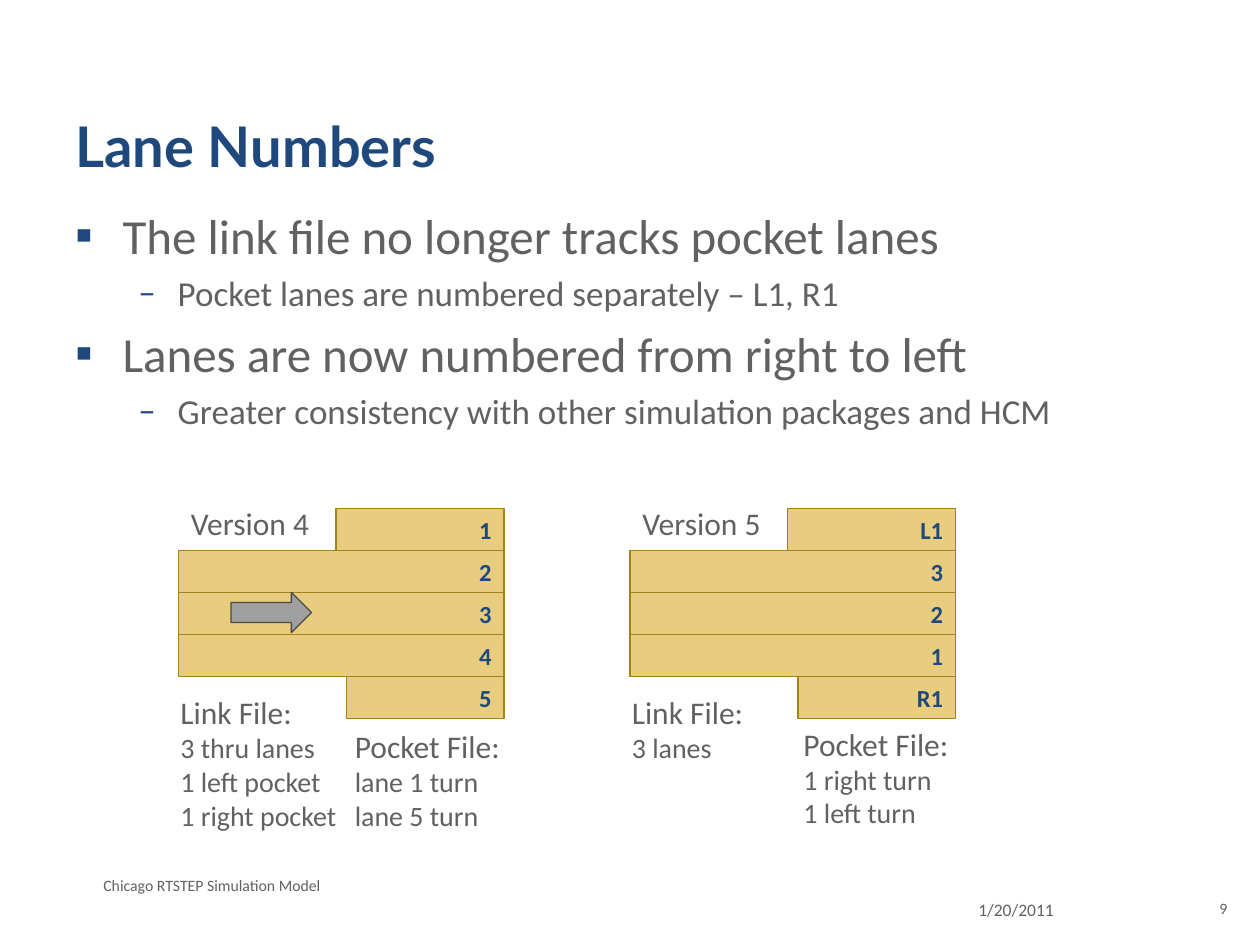
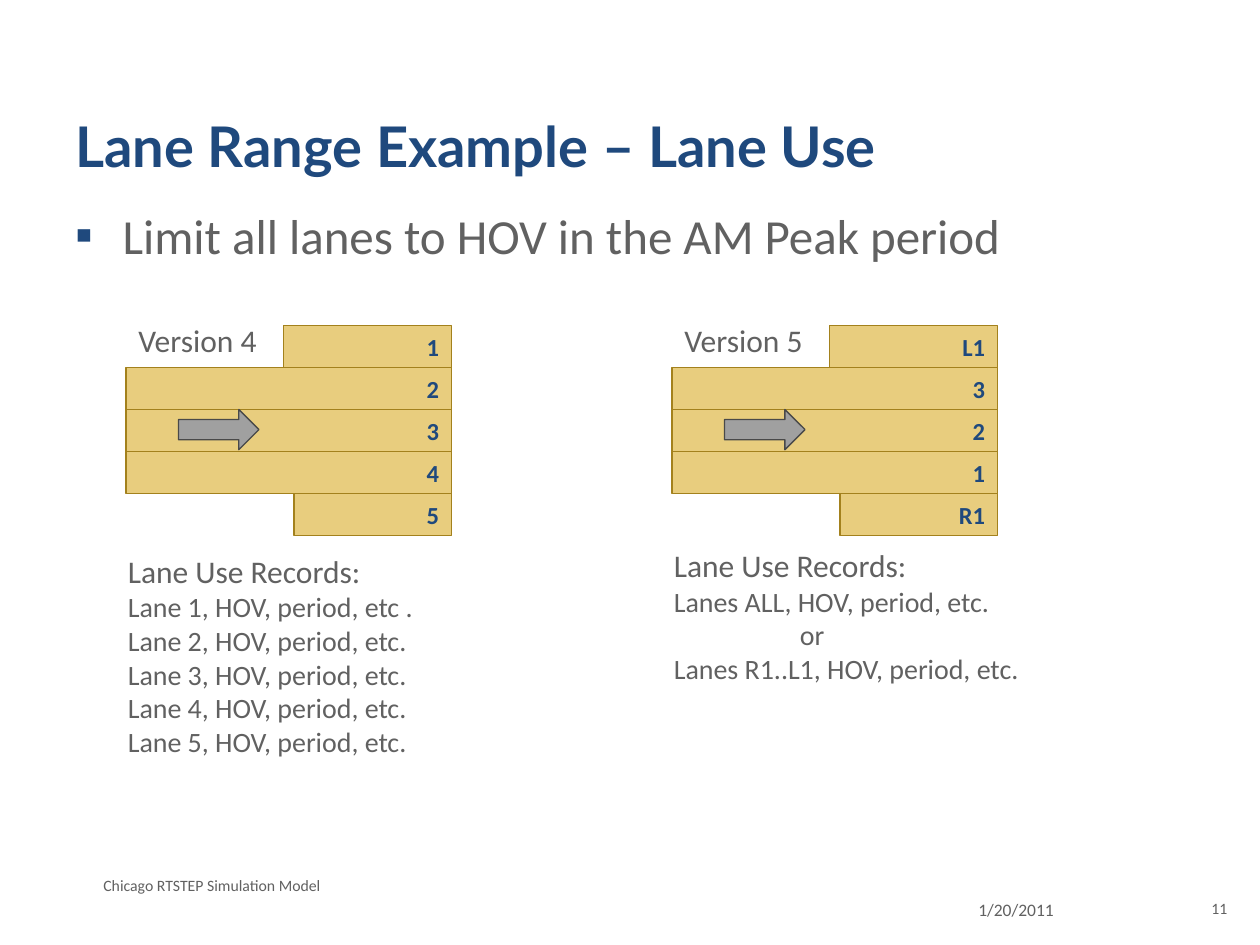
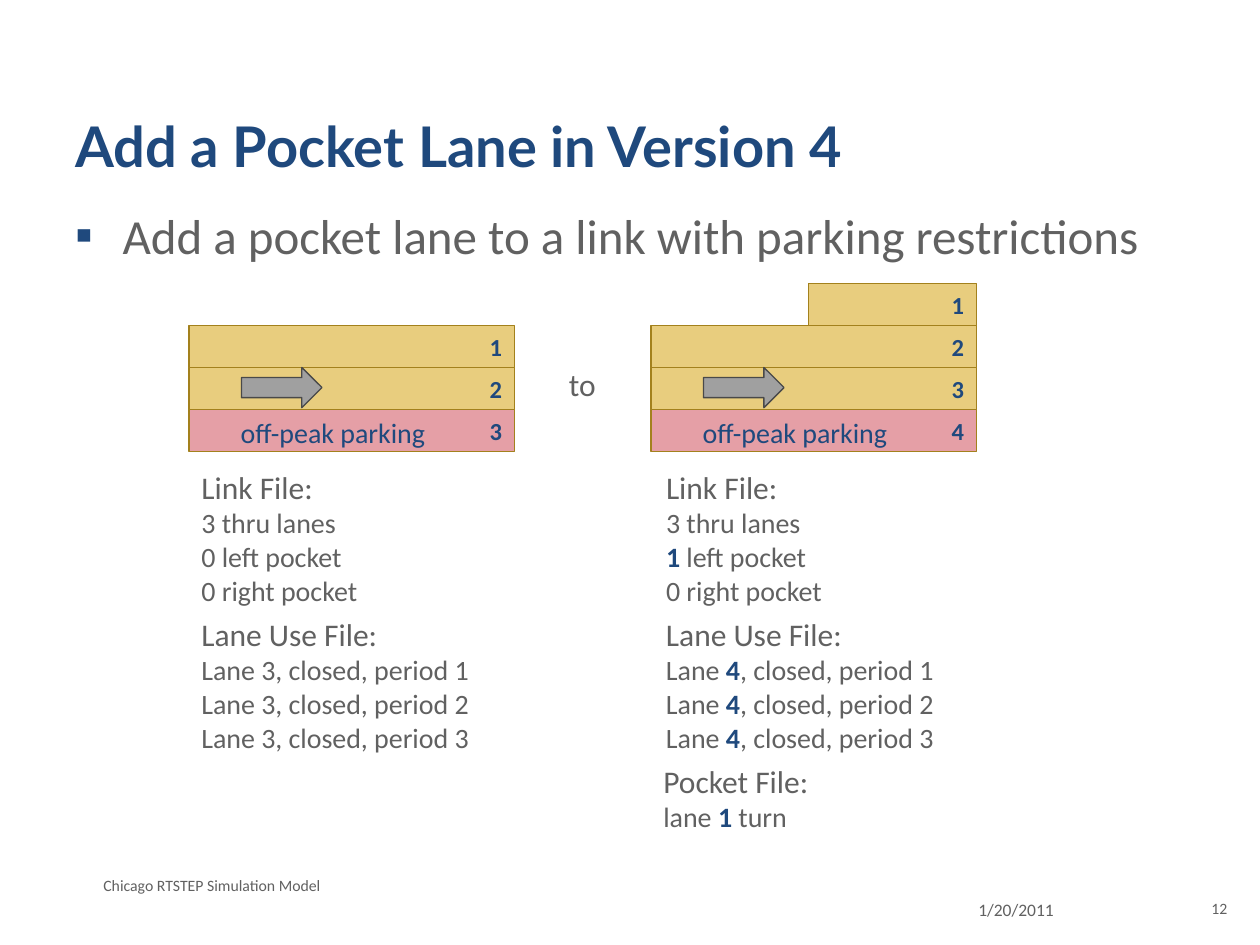
from lxml import etree
from pptx import Presentation
from pptx.dml.color import RGBColor
from pptx.enum.shapes import MSO_SHAPE
from pptx.enum.text import MSO_ANCHOR, PP_ALIGN
from pptx.oxml.ns import qn
from pptx.util import Pt

RECTANGLE = MSO_SHAPE.RECTANGLE
RIGHT_ARROW = MSO_SHAPE.RIGHT_ARROW
LEFT, RIGHT = PP_ALIGN.LEFT, PP_ALIGN.RIGHT
TOP, MIDDLE, BOTTOM = MSO_ANCHOR.TOP, MSO_ANCHOR.MIDDLE, MSO_ANCHOR.BOTTOM

NAVY = RGBColor(0x1F, 0x49, 0x7D)
GRAY = RGBColor(0x61, 0x61, 0x61)
SAND = RGBColor(0xE8, 0xCD, 0x7E)
SAND_EDGE = RGBColor(0xA3, 0x81, 0x1D)
PINK = RGBColor(0xE5, 0x9F, 0xA6)
ARROW_FILL = RGBColor(0xA0, 0xA0, 0xA0)
ARROW_EDGE = RGBColor(0x49, 0x49, 0x49)

TITLE_FONT, TEXT_FONT = "Lato", "Calibri"
LANE_WIDTH, LANE_HEIGHT = 186, 24
LEFT_POCKET, RIGHT_POCKET = 96, 90
BULLETS = [("▪", 28, 27, -27, 5.6), ("–", 20, 58.5, -22.5, 4)]


def add_span(para, text, size, color=GRAY, bold=False, font=TEXT_FONT):
    span = para.add_run()
    span.text = text
    span.font.size = Pt(size)
    span.font.name = font
    span.font.bold = bold
    span.font.color.rgb = color


def add_box(page, left, top, width, height, anchor=TOP):
    box = page.shapes.add_textbox(Pt(left), Pt(top), Pt(width), Pt(height))
    box.text_frame.word_wrap = True
    box.text_frame.vertical_anchor = anchor
    return box.text_frame


def add_label(page, left, top, width, height, text, size, color=GRAY, align=LEFT):
    para = add_box(page, left, top, width, height).paragraphs[0]
    para.alignment = align
    add_span(para, text, size, color)


def add_title(page, text):
    frame = add_box(page, 36, 21.6, 648, 90, BOTTOM)
    frame.margin_bottom = Pt(9.6)
    add_span(frame.paragraphs[0], text, 32, NAVY, True, TITLE_FONT)


def set_indent(para, margin, indent=0):
    props = para._p.get_or_add_pPr()
    props.set("marL", str(Pt(margin)))
    props.set("indent", str(Pt(indent)))
    return props


def add_bullets(page, items):
    frame = add_box(page, 36, 114, 648, 368.6)
    for index, (level, text) in enumerate(items):
        mark, size, margin, indent, before = BULLETS[level]
        para = frame.paragraphs[0] if index == 0 else frame.add_paragraph()
        para.level = level
        para.space_before = Pt(before)
        add_span(para, text, size)
        props = set_indent(para, margin, indent)
        color = etree.SubElement(props, qn("a:buClr"))
        etree.SubElement(color, qn("a:srgbClr"), val=str(NAVY))
        etree.SubElement(props, qn("a:buFont"), typeface=TEXT_FONT)
        etree.SubElement(props, qn("a:buChar"), char=mark)


def add_shape(page, kind, left, top, width, height, fill, edge):
    shape = page.shapes.add_shape(kind, Pt(left), Pt(top), Pt(width), Pt(height))
    shape.shadow.inherit = False
    shape.fill.solid()
    shape.fill.fore_color.rgb = fill
    shape.line.color.rgb = edge
    shape.line.width = Pt(0.75)
    return shape


def add_road(page, left, top, lanes, arrow_row=None):
    for row, (name, width, fill) in enumerate(lanes):
        lane = add_shape(page, RECTANGLE, left + LANE_WIDTH - width,
                         top + row * LANE_HEIGHT, width, LANE_HEIGHT, fill, SAND_EDGE)
        lane.text_frame.vertical_anchor = MIDDLE
        para = lane.text_frame.paragraphs[0]
        para.alignment = RIGHT
        add_span(para, name, 14, NAVY, True)
    if arrow_row is not None:
        add_shape(page, RIGHT_ARROW, left + 30, top + arrow_row * LANE_HEIGHT,
                  46, 23, ARROW_FILL, ARROW_EDGE)


def add_version(page, left, top, number, names, arrow_row=None):
    widths = [LEFT_POCKET] + [LANE_WIDTH] * 3 + [RIGHT_POCKET]
    add_road(page, left, top, [(name, width, SAND) for name, width in zip(names, widths)],
             arrow_row)
    add_label(page, left, top - 6, 84, 29, f"Version {number}", 18)


def add_parking_road(page, left, top, lanes, arrow_row):
    add_road(page, left, top, lanes, arrow_row)
    add_label(page, left + 22.5, top + (len(lanes) - 1) * LANE_HEIGHT, 122, 26.6,
              "off-peak parking", 16, NAVY)


def add_records(page, left, top, width, heading, lines):
    frame = add_box(page, left, top, width, 29 + 19.5 * len(lines))
    add_span(frame.paragraphs[0], heading, 18)
    for line in lines:
        para = frame.add_paragraph()
        if line == "or":
            set_indent(para, 72)
        for index, part in enumerate(line.split("*")):
            marked = index % 2 == 1
            if part:
                add_span(para, part, 16, NAVY if marked else GRAY, marked)


def add_page(deck, title, number, bullets):
    page = deck.slides.add_slide(deck.slide_layouts[6])
    add_title(page, title)
    add_bullets(page, bullets)
    add_label(page, 552, 510, 108, 24, "1/20/2011", 10)
    add_label(page, 52, 497, 468, 18, "Chicago RTSTEP Simulation Model", 9)
    add_label(page, 678, 510, 30.5, 23, str(number), 9, align=RIGHT)
    return page


def build_lane_numbers(deck):
    page = add_page(deck, "Lane Numbers", 9, [
        (0, "The link file no longer tracks pocket lanes"),
        (1, "Pocket lanes are numbered separately – L1, R1"),
        (0, "Lanes are now numbered from right to left"),
        (1, "Greater consistency with other simulation packages and HCM"),
    ])
    add_version(page, 102, 290.5, 4, "12345", 2)
    add_version(page, 360, 290.5, 5, ["L1", "3", "2", "1", "R1"])
    add_records(page, 96, 392.5, 106, "Link File:",
                ["3 thru lanes", "1 left pocket", "1 right pocket"])
    add_records(page, 195.7, 412, 100, "Pocket File:", ["lane 1 turn", "lane 5 turn"])
    add_records(page, 354, 392.5, 80, "Link File:", ["3 lanes"])
    add_records(page, 452, 410.5, 101, "Pocket File:", ["1 right turn", "1 left turn"])


def build_lane_use(deck):
    page = add_page(deck, "Lane Range Example – Lane Use", 11,
                    [(0, "Limit all lanes to HOV in the AM Peak period")])
    add_version(page, 72, 186, 4, "12345", 2)
    add_version(page, 384, 186, 5, ["L1", "3", "2", "1", "R1"], 2)
    add_records(page, 66, 312, 186, "Lane Use Records:",
                ["Lane 1, HOV, period, etc ."]
                + [f"Lane {lane}, HOV, period, etc." for lane in range(2, 6)])
    add_records(page, 378, 308.7, 216, "Lane Use Records:",
                ["Lanes ALL, HOV, period, etc.", "or", "Lanes R1..L1, HOV, period, etc."])


def build_pocket_lane(deck):
    page = add_page(deck, "Add a Pocket Lane in Version 4", 12,
                    [(0, "Add a pocket lane to a link with parking restrictions")])
    add_label(page, 318, 205, 31, 29, "to", 18)
    add_parking_road(page, 108, 186, [
        ("1", LANE_WIDTH, SAND), ("2", LANE_WIDTH, SAND), ("3", LANE_WIDTH, PINK)], 1)
    add_parking_road(page, 372, 162, [
        ("1", LEFT_POCKET, SAND), ("2", LANE_WIDTH, SAND),
        ("3", LANE_WIDTH, SAND), ("4", LANE_WIDTH, PINK)], 2)
    for left, pockets, lane in [(108, "0", "3"), (373.5, "*1*", "*4*")]:
        add_records(page, left, 264, 106, "Link File:",
                    ["3 thru lanes", f"{pockets} left pocket", "0 right pocket"])
        add_records(page, left, 348, 175, "Lane Use File:",
                    [f"Lane {lane}, closed, period {period}" for period in range(1, 4)])
    add_records(page, 372, 432, 100, "Pocket File:", ["lane *1* turn"])


def main():
    deck = Presentation()
    deck.slide_width, deck.slide_height = Pt(720), Pt(540)
    build_lane_numbers(deck)
    build_lane_use(deck)
    build_pocket_lane(deck)
    deck.save("out.pptx")


if __name__ == "__main__":
    main()
